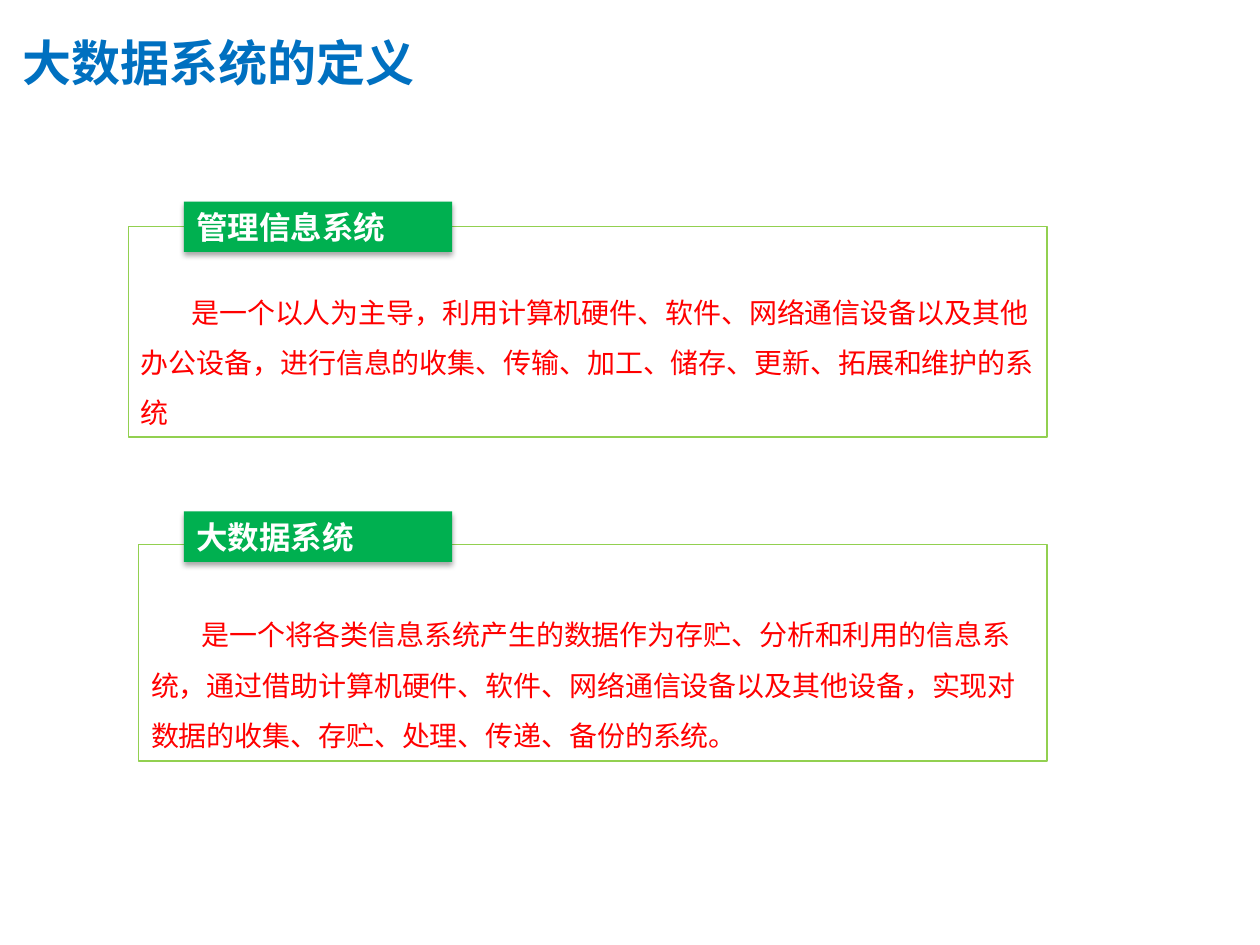
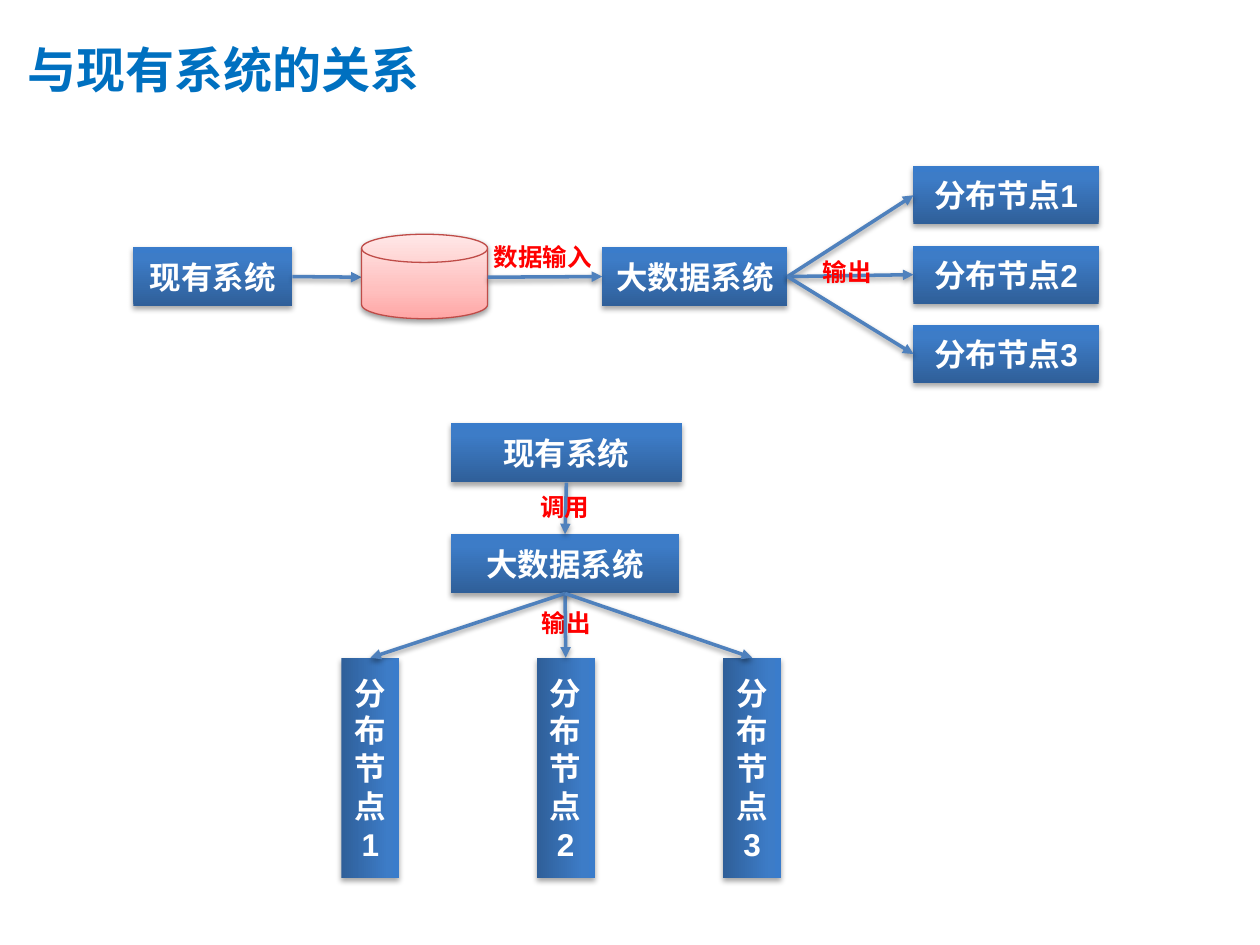
from dataclasses import dataclass

from lxml.etree import SubElement
from pptx import Presentation
from pptx.dml.color import RGBColor
from pptx.enum.shapes import MSO_CONNECTOR, MSO_SHAPE
from pptx.enum.text import MSO_ANCHOR, PP_ALIGN
from pptx.oxml.ns import qn
from pptx.util import Pt

PX = 9144
TOP, LEFT, BOTTOM, RIGHT = range(4)


@dataclass(frozen=True)
class Theme:
    title: str = "0070C0"
    tag: str = "00B050"
    frame: str = "92D050"
    alert: str = "FF0000"
    light: str = "FFFFFF"
    arrow: str = "4F81BD"
    rim: str = "BF4C48"
    blue: tuple = ((0, "2F5F99"), (80, "3D7CC7"), (100, "3A7CCB"))
    pink: tuple = ((0, "FFA6A5"), (35, "FFC0BF"), (100, "FFE7E7"))
    cjk: str = "Noto Sans CJK SC"
    latin: str = "Arial"
    head: int = 28
    mid: int = 18
    body: int = 16
    small: int = 14


class Deck:
    """Draws the slide elements in one shared style."""

    def __init__(self, theme):
        self.theme = theme
        self.show = Presentation()
        self.show.slide_width = 1000 * PX
        self.show.slide_height = 750 * PX

    def page(self, title, x, y, w):
        self.slide = self.show.slides.add_slide(self.show.slide_layouts[6])
        box = self.slide.shapes.add_textbox(x * PX, y * PX, w * PX, 62 * PX)
        self.text(box, title, self.theme.head, self.theme.title, self.theme.cjk)
        frame = box.text_frame
        frame.margin_left = 18 * PX
        frame.margin_top = frame.margin_right = frame.margin_bottom = 0

    def text(self, shape, words, size, color, face, bold=True,
             align=PP_ALIGN.LEFT, anchor=MSO_ANCHOR.TOP):
        frame = shape.text_frame
        frame.word_wrap = True
        frame.vertical_anchor = anchor
        para = frame.paragraphs[0]
        para.alignment = align
        run = para.add_run()
        run.text = words
        font = run.font
        font.size, font.bold, font.name = Pt(size), bold, face
        font.color.rgb = RGBColor.from_string(color)
        SubElement(font._element, qn("a:ea"), typeface=self.theme.cjk)
        return para

    def shade(self, item, alpha, dist):
        effects = SubElement(item._element.spPr, qn("a:effectLst"))
        drop = SubElement(effects, qn("a:outerShdw"), blurRad="40000",
                          dist=str(dist), dir="5400000", rotWithShape="0")
        black = SubElement(drop, qn("a:srgbClr"), val="000000")
        SubElement(black, qn("a:alpha"), val=str(alpha * 1000))

    def blend(self, shape, stops, angle):
        shape.fill.background()
        props = shape._element.spPr
        blank = props.find(qn("a:noFill"))
        grad = SubElement(props, qn("a:gradFill"), rotWithShape="1")
        ramp = SubElement(grad, qn("a:gsLst"))
        for place, color in stops:
            stop = SubElement(ramp, qn("a:gs"), pos=str(place * 1000))
            SubElement(stop, qn("a:srgbClr"), val=color)
        SubElement(grad, qn("a:lin"), ang=str(angle * 60000), scaled="0")
        props.replace(blank, grad)

    def shape(self, kind, x, y, w, h, line=None):
        shape = self.slide.shapes.add_shape(kind, x * PX, y * PX, w * PX, h * PX)
        if line:
            shape.line.color.rgb = RGBColor.from_string(line)
            shape.line.width = Pt(0.75)
        else:
            shape.line.fill.background()
        return shape

    def panel(self, words, x, y, w, h, inset):
        box = self.shape(MSO_SHAPE.RECTANGLE, x, y, w, h, self.theme.frame)
        box.fill.background()
        box.shadow.inherit = False
        para = self.text(box, words, self.theme.body, self.theme.alert,
                         self.theme.cjk, False)
        para.line_spacing = 1.5
        para._p.get_or_add_pPr().set("indent", str(40 * PX))
        box.text_frame.margin_top = inset * PX

    def tag(self, words, x, y):
        box = self.shape(MSO_SHAPE.RECTANGLE, x, y, 213, 40)
        box.fill.solid()
        box.fill.fore_color.rgb = RGBColor.from_string(self.theme.tag)
        self.shade(box, 35, 23000)
        self.text(box, words, self.theme.mid, self.theme.light, self.theme.cjk)

    def node(self, words, x, y, w, h, angle=270):
        box = self.shape(MSO_SHAPE.RECTANGLE, x, y, w, h)
        self.blend(box, self.theme.blue, angle)
        self.shade(box, 35, 23000)
        self.text(box, words, self.theme.mid, self.theme.light, self.theme.latin,
                  align=PP_ALIGN.CENTER, anchor=MSO_ANCHOR.MIDDLE)
        return box

    def disk(self, x, y, w, h):
        disk = self.shape(MSO_SHAPE.FLOWCHART_MAGNETIC_DISK, x, y, w, h,
                          self.theme.rim)
        self.blend(disk, self.theme.pink, 270)
        self.shade(disk, 38, 20000)

    def arrow(self, start=None, end=None, at=(0, 0)):
        x, y = (length * PX for length in at)
        line = self.slide.shapes.add_connector(MSO_CONNECTOR.STRAIGHT, x, y, x, y)
        if start:
            line.begin_connect(*start)
        if end:
            line.end_connect(*end)
        line.line.color.rgb = RGBColor.from_string(self.theme.arrow)
        line.line.width = Pt(2)
        SubElement(line.line._get_or_add_ln(), qn("a:tailEnd"), type="triangle")
        self.shade(line, 38, 20000)

    def label(self, words, x, y, w):
        box = self.slide.shapes.add_textbox(x * PX, y * PX, w * PX, 34 * PX)
        self.text(box, words, self.theme.small, self.theme.alert, self.theme.latin)
        box.text_frame.word_wrap = False


def define(deck):
    deck.page("大数据系统的定义", 0, 26, 547)
    deck.panel("是一个以人为主导，利用计算机硬件、软件、网络通信设备以及其他办公设备，"
               "进行信息的收集、传输、加工、储存、更新、拓展和维护的系统",
               102, 180, 729, 167, 41)
    deck.panel("是一个将各类信息系统产生的数据作为存贮、分析和利用的信息系统，"
               "通过借助计算机硬件、软件、网络通信设备以及其他设备，"
               "实现对数据的收集、存贮、处理、传递、备份的系统。",
               110, 432, 721, 172, 45)
    deck.tag("管理信息系统", 146, 160)
    deck.tag("大数据系统", 146, 406)


def relate(deck):
    deck.page("与现有系统的关系", 4, 31, 625)
    names = [f"分布节点{num}" for num in (1, 2, 3)]

    source = deck.node("现有系统", 106, 196, 126, 47)
    deck.arrow(start=(source, RIGHT), at=(287, 220))
    deck.disk(287, 186, 100, 67)
    hub = deck.node("大数据系统", 478, 196, 147, 47)
    deck.arrow(end=(hub, LEFT), at=(387, 220))
    deck.label("数据输入", 382, 187, 99)
    for row, name in enumerate(names):
        leaf = deck.node(name, 725, 132 + 63 * row, 147, 46)
        deck.arrow((hub, RIGHT), (leaf, LEFT))
    deck.label("输出", 643, 199, 59)

    caller = deck.node("现有系统", 358, 336, 183, 47)
    core = deck.node("大数据系统", 358, 424, 181, 47)
    deck.arrow((caller, BOTTOM), (core, TOP))
    deck.label("调用", 419, 386, 59)
    deck.label("输出", 420, 478, 59)
    for name, x in zip(names, (271, 426, 574)):
        leaf = deck.node(name, x, 522, 46, 175, 0)
        deck.arrow((core, BOTTOM), (leaf, TOP))


def main():
    deck = Deck(Theme())
    define(deck)
    relate(deck)
    deck.show.save("out.pptx")


if __name__ == "__main__":
    main()
